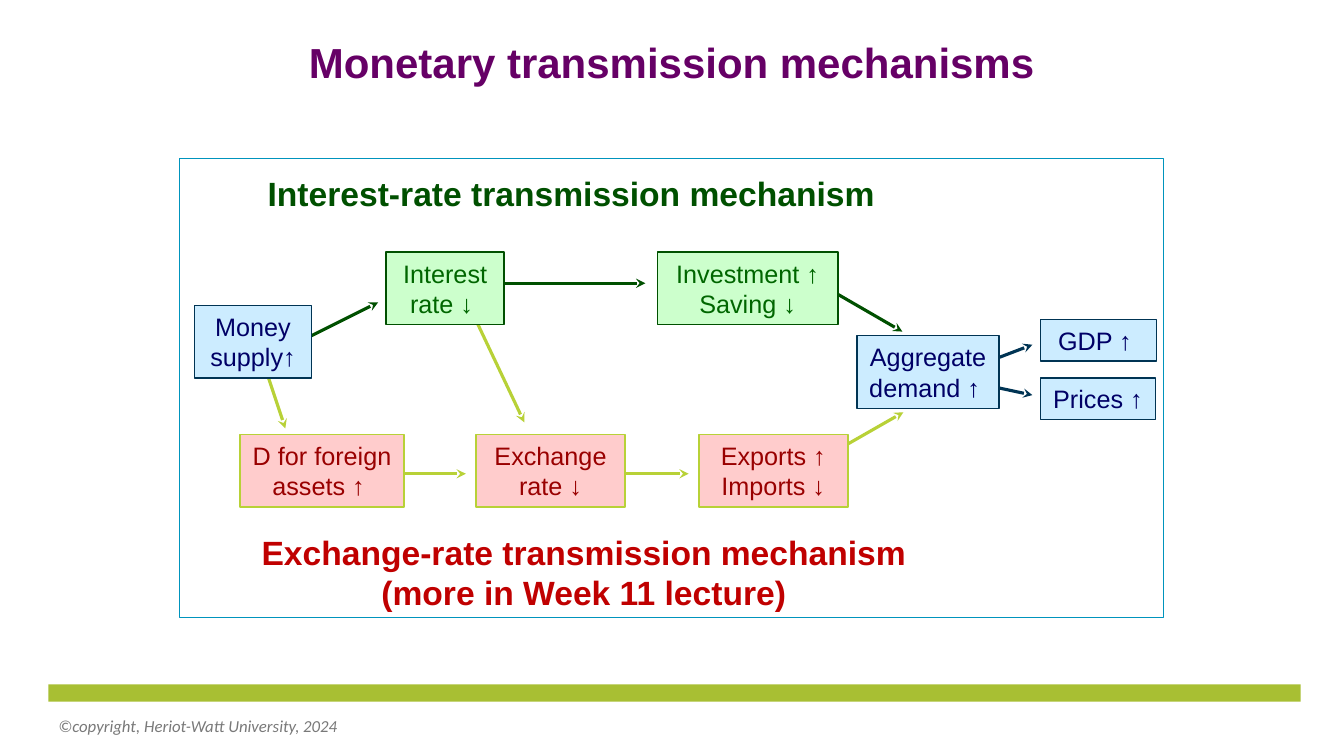
from lxml import etree
from pptx import Presentation
from pptx.dml.color import RGBColor
from pptx.enum.shapes import MSO_CONNECTOR, MSO_SHAPE
from pptx.enum.text import MSO_ANCHOR, PP_ALIGN
from pptx.oxml.ns import qn
from pptx.util import Inches, Pt

RECTANGLE = MSO_SHAPE.RECTANGLE
STRAIGHT = MSO_CONNECTOR.STRAIGHT
MIDDLE = MSO_ANCHOR.MIDDLE
CENTER, LEFT = PP_ALIGN.CENTER, PP_ALIGN.LEFT

WHITE = RGBColor(0xFF, 0xFF, 0xFF)
FOOTER_GREEN = RGBColor(0xA8, 0xBF, 0x33)
FOOTER_GREY = RGBColor(0x79, 0x79, 0x79)
FRAME_BLUE = RGBColor(0x00, 0x94, 0xBD)
LIME = RGBColor(0xB8, 0xD1, 0x37)
DARK_GREEN = RGBColor(0x00, 0x50, 0x00)
TEXT_GREEN = RGBColor(0x00, 0x66, 0x00)
PALE_GREEN = RGBColor(0xCC, 0xFF, 0xCC)
PINK = RGBColor(0xFF, 0xCC, 0xCC)
DARK_RED = RGBColor(0x99, 0x00, 0x00)
RED = RGBColor(0xC0, 0x00, 0x00)
PALE_BLUE = RGBColor(0xCC, 0xEC, 0xFF)
NAVY = RGBColor(0x00, 0x34, 0x54)
TEXT_NAVY = RGBColor(0x00, 0x00, 0x66)
PURPLE = RGBColor(0x66, 0x00, 0x66)

# fill, outline, outline width, text colour
INTEREST_STYLE = (PALE_GREEN, DARK_GREEN, 1.25, TEXT_GREEN)
EXCHANGE_STYLE = (PINK, LIME, 1.25, DARK_RED)
ECONOMY_STYLE = (PALE_BLUE, NAVY, 1, TEXT_NAVY)

prs = Presentation()
prs.slide_width, prs.slide_height = Inches(13.33), Inches(7.5)
slide = prs.slides.add_slide(prs.slide_layouts[6])


def add_box(place, fill, outline=None, width=0):
    box = slide.shapes.add_shape(RECTANGLE, *map(Inches, place))
    box.shadow.inherit = False
    box.fill.solid()
    box.fill.fore_color.rgb = fill
    if outline is None:
        box.line.fill.background()
    else:
        box.line.color.rgb = outline
        box.line.width = Pt(width)
    return box


def write(shape, lines, size, color, font="Arial", align=CENTER, bold=False, italic=False):
    frame = shape.text_frame
    frame.word_wrap = True
    frame.vertical_anchor = MIDDLE
    frame.text = lines
    for paragraph in frame.paragraphs:
        paragraph.alignment = align
        paragraph.font.name = font
        paragraph.font.size = Pt(size)
        paragraph.font.color.rgb = color
        paragraph.font.bold = bold
        paragraph.font.italic = italic


# Footer and diagram frame
add_box((0.48, 6.79, 12.42, 0.17), FOOTER_GREEN)
footer = slide.shapes.add_textbox(Inches(0.48), Inches(7), Inches(4.5), Inches(0.4))
write(footer, "©copyright, Heriot-Watt University, 2024", 12, FOOTER_GREY,
      font="Calibri", align=LEFT, italic=True)
add_box((1.78, 1.57, 9.76, 4.56), WHITE, FRAME_BLUE, 0.75)

# Arrows between the stages, drawn beneath the stage boxes
arrows = [
    (3.09, 3.33, 3.75, 3, DARK_GREEN),      # money supply to interest rate
    (5, 2.81, 6.4, 2.81, DARK_GREEN),       # interest rate to investment
    (8.31, 2.92, 8.95, 3.29, DARK_GREEN),   # investment to aggregate demand
    (2.58, 3.5, 2.83, 4.25, LIME),          # money supply to foreign assets
    (4.58, 2.88, 5.2, 4.19, LIME),          # interest rate to exchange rate
    (4.01, 4.7, 4.62, 4.7, LIME),           # foreign assets to exchange rate
    (6.2, 4.7, 6.83, 4.7, LIME),            # exchange rate to exports
    (8.4, 4.41, 8.96, 4.09, LIME),          # exports to aggregate demand
    (9.82, 3.58, 10.24, 3.42, NAVY),        # aggregate demand to GDP
    (9.82, 3.83, 10.24, 3.92, NAVY),        # aggregate demand to prices
]
for *ends, color in arrows:
    arrow = slide.shapes.add_connector(STRAIGHT, *map(Inches, ends))
    arrow.line.color.rgb = color
    arrow.line.width = Pt(2.25)
    etree.SubElement(arrow.line._get_or_add_ln(), qn("a:tailEnd"), type="stealth")
    etree.SubElement(arrow._element.spPr, qn("a:effectLst"))

# Stage boxes
TALL, SHORT = 0.72, 0.41
stages = [
    ("Money supply↑", 1.93, 3.03, 1.16, TALL, ECONOMY_STYLE),
    ("Interest rate ↓ ", 3.83, 2.5, 1.17, TALL, INTEREST_STYLE),
    ("Investment ↑\nSaving ↓", 6.52, 2.5, 1.79, TALL, INTEREST_STYLE),
    ("D for foreign assets ↑ ", 2.38, 4.31, 1.63, TALL, EXCHANGE_STYLE),
    ("Exchange rate ↓", 4.72, 4.31, 1.48, TALL, EXCHANGE_STYLE),
    ("Exports ↑\nImports ↓", 6.93, 4.31, 1.48, TALL, EXCHANGE_STYLE),
    ("Aggregate demand ↑ ", 8.5, 3.33, 1.41, TALL, ECONOMY_STYLE),
    ("GDP ↑ ", 10.32, 3.17, 1.15, SHORT, ECONOMY_STYLE),
    ("Prices ↑ ", 10.32, 3.75, 1.14, SHORT, ECONOMY_STYLE),
]
for label, *place, (fill, outline, width, text_color) in stages:
    write(add_box(place, fill, outline, width), label, 18, text_color)

# Headings, the slide title last
headings = [
    ("Interest-rate transmission mechanism", 2.5, 1.66, 6.33, 0.51, 24, DARK_GREEN),
    ("Exchange-rate transmission mechanism (more in Week 11 lecture)",
     2.38, 5.22, 6.82, 0.91, 24, RED),
    ("Monetary transmission mechanisms", 0, 0.31, 13.33, 0.61, 30, PURPLE),
]
for words, *place, size, color in headings:
    heading = slide.shapes.add_textbox(*map(Inches, place))
    write(heading, words, size, color, bold=True)

# Soft shadow behind the title's letters
title_run = heading.text_frame.paragraphs[0].runs[0]
effects = etree.SubElement(title_run._r.get_or_add_rPr(), qn("a:effectLst"))
shadow = etree.SubElement(effects, qn("a:outerShdw"), blurRad="38100", dist="38100", dir="2700000")
etree.SubElement(shadow, qn("a:srgbClr"), val="000000")

prs.save("out.pptx")
